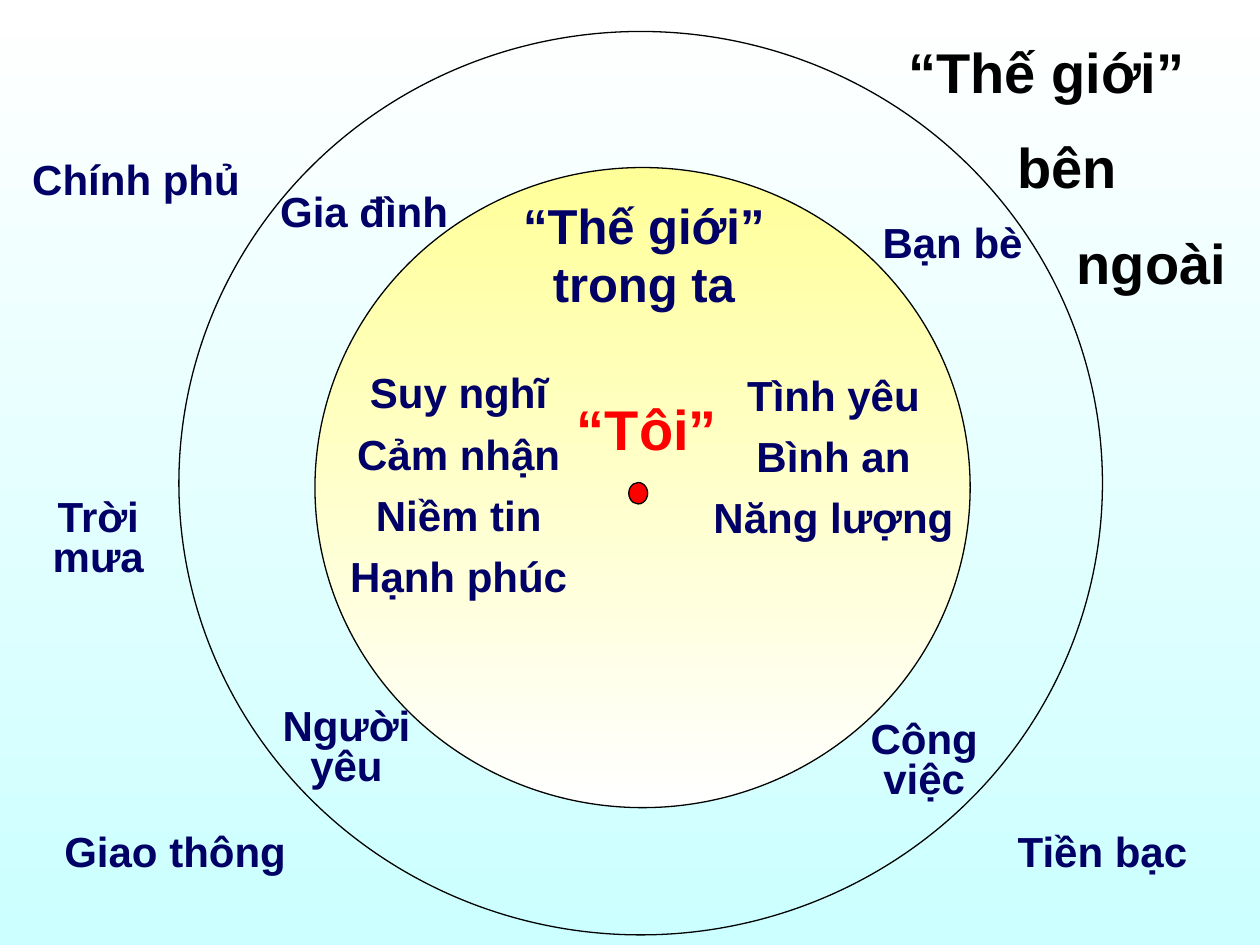
from pptx import Presentation
from pptx.dml.color import RGBColor
from pptx.enum.shapes import MSO_SHAPE
from pptx.enum.text import PP_ALIGN
from pptx.util import Inches, Pt

OVAL = MSO_SHAPE.OVAL
LEFT, CENTER, RIGHT = PP_ALIGN.LEFT, PP_ALIGN.CENTER, PP_ALIGN.RIGHT
FONT = "Arial"
BLACK, NAVY, RED = "000000", "000066", "FF0000"
WHITE, YELLOW, CYAN = "FFFFFF", "FFFF99", "CCFFFF"


def color(value):
    return RGBColor.from_string(value)


def fill_downward(fill, top_color, bottom_color):
    fill.gradient()
    fill.gradient_angle = 270
    for stop, value in zip(fill.gradient_stops, (top_color, bottom_color)):
        stop.color.rgb = color(value)


def add_circle(slide, box):
    shape = slide.shapes.add_shape(OVAL, *map(Inches, box))
    shape.shadow.inherit = False
    shape.fill.background()
    shape.line.color.rgb = color(BLACK)
    shape.line.width = Pt(0.75)
    return shape


def add_label(slide, box, lines, size=24, text_color=NAVY, line_spacing=None,
              space_before=0, alignments=None):
    shape = slide.shapes.add_textbox(*map(Inches, box))
    text_frame = shape.text_frame
    text_frame.word_wrap = True
    text_frame.text = "\n".join(lines)
    alignments = alignments or [CENTER] * len(lines)
    for index, paragraph in enumerate(text_frame.paragraphs):
        paragraph.alignment = alignments[index]
        paragraph.line_spacing = line_spacing
        paragraph.space_before = Pt(space_before if index else 0)
        for run in paragraph.runs:
            run.font.name = FONT
            run.font.size = Pt(size)
            run.font.bold = True
            run.font.color.rgb = color(text_color)


def add_outer_world(slide, box):
    left, top, width, height = box
    add_circle(slide, box)
    add_label(slide, (left + 5.69, top, 2.72, 2.23),
              ["“Thế giới”", "bên", "ngoài"], size=32, text_color=BLACK,
              space_before=16, alignments=[LEFT, CENTER, RIGHT])


def add_inner_world(slide, box):
    left, top, width, height = box
    circle = add_circle(slide, box)
    fill_downward(circle.fill, YELLOW, WHITE)
    center_dot = add_circle(slide, (left + 2.49, top + 2.5, 0.15, 0.17))
    center_dot.fill.solid()
    center_dot.fill.fore_color.rgb = color(RED)
    add_label(slide, (left + 1.22, top + 0.17, 2.78, 1.03),
              ["“Thế giới” trong ta"], size=28)
    add_label(slide, (left + 1.97, top + 1.75, 1.33, 0.63),
              ["“Tôi”"], size=32, text_color=RED)
    add_label(slide, (left - 0.25, top + 1.61, 2.78, 1.98),
              ["Suy nghĩ", "Cảm nhận", "Niềm tin", "Hạnh phúc"],
              line_spacing=0.8, space_before=12)
    add_label(slide, (left + 3.06, top + 1.63, 2.11, 1.46),
              ["Tình yêu", "Bình an", "Năng lượng"],
              line_spacing=0.8, space_before=12)


def add_surroundings(slide, box):
    left, top, width, height = box
    one_line, two_lines = 0.42, 0.74
    labels = [
        ("Gia đình", 1.5, 1.5, 2.78, one_line),
        ("Bạn bè", 6.17, 1.75, 2.78, one_line),
        ("Người yêu", 2, 5.58, 1.5, two_lines),
        ("Công việc", 6.67, 5.68, 1.33, two_lines),
        ("Giao thông", 0, 6.58, 2.78, one_line),
        ("Chính phủ", 0.08, 1.25, 2, one_line),
        ("Tiền bạc", 7.75, 6.58, 2, one_line),
        ("Trời mưa", 0.14, 3.92, 1.28, two_lines),
    ]
    for text, x, y, label_width, label_height in labels:
        add_label(slide, (left + x, top + y, label_width, label_height),
                  [text], line_spacing=0.8)


def main():
    presentation = Presentation()
    presentation.slide_width = Inches(10)
    presentation.slide_height = Inches(7.5)
    slide = presentation.slides.add_slide(presentation.slide_layouts[6])
    fill_downward(slide.background.fill, WHITE, CYAN)
    add_outer_world(slide, (1.42, 0.25, 7.33, 7.17))
    add_inner_world(slide, (2.5, 1.33, 5.2, 5.08))
    add_surroundings(slide, (0, 0, 10, 7.5))
    presentation.save("out.pptx")


if __name__ == "__main__":
    main()
